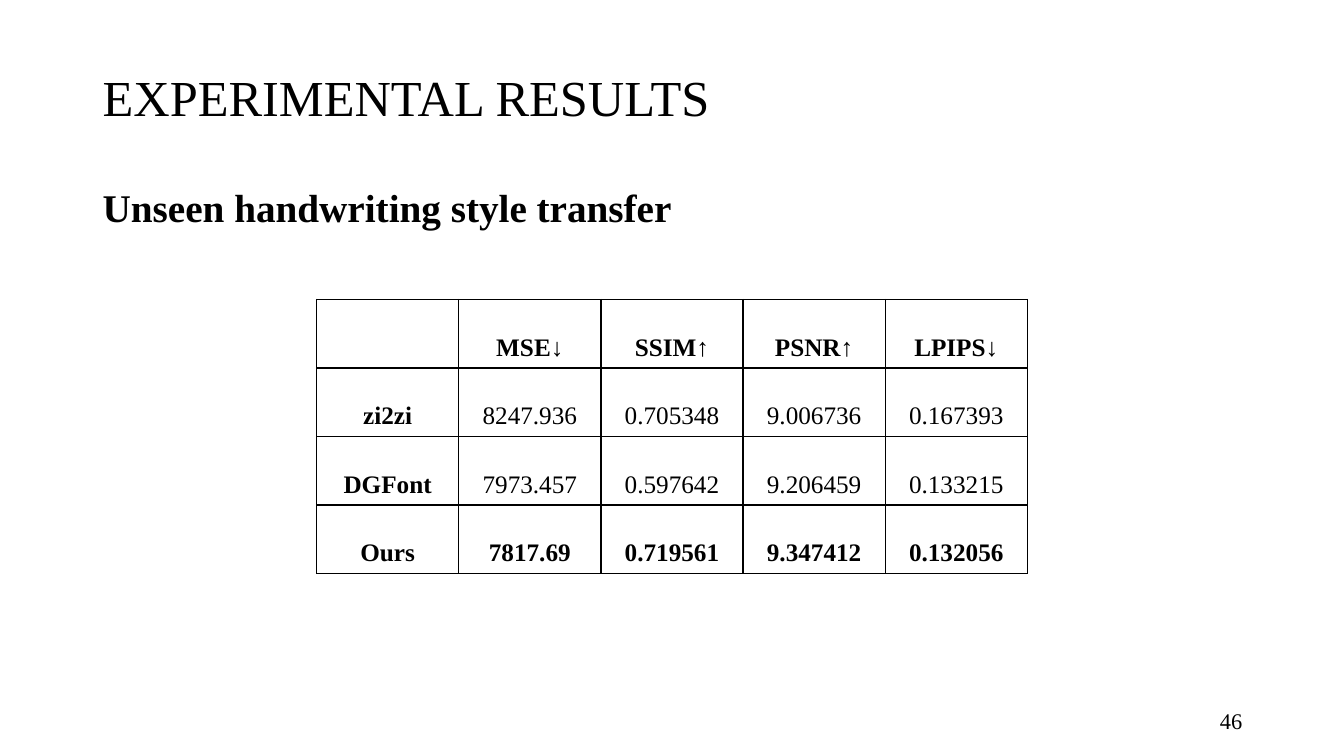
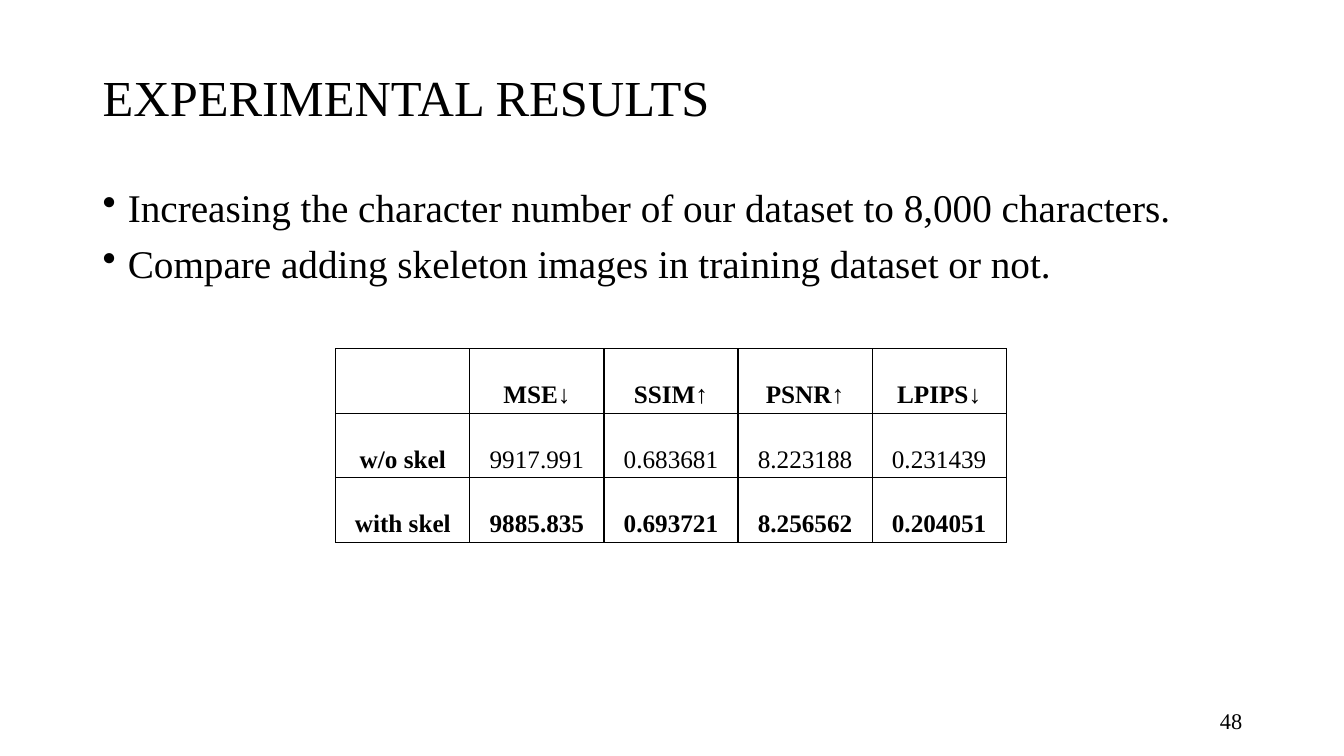
from pptx import Presentation
from pptx.dml.color import RGBColor
from pptx.enum.text import MSO_ANCHOR, PP_ALIGN
from pptx.oxml.ns import qn
from pptx.util import Inches, Pt
from lxml import etree

BLACK = RGBColor(0x00, 0x00, 0x00)
FONT = "Times New Roman"
LEFT, CENTER, RIGHT, JUSTIFY = PP_ALIGN.LEFT, PP_ALIGN.CENTER, PP_ALIGN.RIGHT, PP_ALIGN.JUSTIFY
TOP, MIDDLE = MSO_ANCHOR.TOP, MSO_ANCHOR.MIDDLE

TITLE = "EXPERIMENTAL RESULTS"
METRICS = ["", "MSE↓", "SSIM↑", "PSNR↑", "LPIPS↓"]

SLIDES = [
    {
        "number": "46",
        "body": ["Unseen handwriting style transfer"],
        "bullets": False,
        "table_at": (3.14, 2.97),
        "cell_size": (1.41, 0.68),
        "rows": [
            ["zi2zi", "8247.936", "0.705348", "9.006736", "0.167393"],
            ["DGFont", "7973.457", "0.597642", "9.206459", "0.133215"],
            ["Ours", "7817.69", "0.719561", "9.347412", "0.132056"],
        ],
    },
    {
        "number": "48",
        "body": [
            "Increasing the character number of our dataset to 8,000 characters.",
            "Compare adding skeleton images in training dataset or not.",
        ],
        "bullets": True,
        "table_at": (3.33, 3.46),
        "cell_size": (1.33, 0.64),
        "rows": [
            ["w/o skel", "9917.991", "0.683681", "8.223188", "0.231439"],
            ["with skel", "9885.835", "0.693721", "8.256562", "0.204051"],
        ],
    },
]


def format_paragraph(paragraph, size, alignment, spacing=1.0, bold=False):
    paragraph.alignment = alignment
    paragraph.line_spacing = spacing
    font = paragraph.font
    font.name, font.size, font.bold = FONT, Pt(size), bold
    font.color.rgb = BLACK
    for run in paragraph.runs:
        run.font.name, run.font.size, run.font.bold = FONT, Pt(size), bold
        run.font.color.rgb = BLACK


def add_text(slide, box, lines, anchor):
    text_frame = slide.shapes.add_textbox(*map(Inches, box)).text_frame
    text_frame.word_wrap = True
    text_frame.vertical_anchor = anchor
    text_frame.text = "\n".join(lines)
    return text_frame.paragraphs


presentation = Presentation()
presentation.slide_width = Inches(13.33)
presentation.slide_height = Inches(7.5)
blank_layout = presentation.slide_layouts[6]

for content in SLIDES:
    slide = presentation.slides.add_slide(blank_layout)

    # Title
    title = add_text(slide, (0.92, 0.4, 11.5, 1.19), [TITLE], MIDDLE)[0]
    format_paragraph(title, 36, LEFT, 0.9)

    # Body: a bold heading or a bulleted list
    body = add_text(slide, (0.92, 1.82, 11.5, 5.19), content["body"], TOP)
    for index, paragraph in enumerate(body):
        if content["bullets"]:
            properties = paragraph._p.get_or_add_pPr()
            properties.set("marL", str(Inches(0.25)))
            properties.set("indent", str(-Inches(0.25)))
            etree.SubElement(properties, qn("a:buChar")).set("char", "•")
        format_paragraph(paragraph, 28, JUSTIFY, 0.9, bold=not content["bullets"])
        if index:
            paragraph.space_before = Pt(10)

    # Results table: header, labels and the best (last) row are bold
    rows = [METRICS] + content["rows"]
    left, top = content["table_at"]
    cell_width, cell_height = content["cell_size"]
    table = slide.shapes.add_table(
        len(rows), len(METRICS), Inches(left), Inches(top),
        Inches(cell_width * len(METRICS)), Inches(cell_height * len(rows))).table
    table.first_row = table.horz_banding = False
    for column in table.columns:
        column.width = Inches(cell_width)
    for row_index, values in enumerate(rows):
        table.rows[row_index].height = Inches(cell_height)
        for column_index, value in enumerate(values):
            cell = table.cell(row_index, column_index)
            cell.text_frame.text = value
            cell.vertical_anchor = MIDDLE
            cell.margin_left = cell.margin_right = Inches(0.07)
            cell.margin_top = cell.margin_bottom = 0
            bold = row_index in (0, len(rows) - 1) or column_index == 0
            format_paragraph(cell.text_frame.paragraphs[0], 18, CENTER, 2.0, bold)
            cell.fill.background()

            # Cell borders come before the fill in the XML
            cell_properties = cell._tc.get_or_add_tcPr()
            for position, side in enumerate(("lnL", "lnR", "lnT", "lnB")):
                border = etree.Element(qn("a:" + side), w=str(Pt(1)))
                fill = etree.SubElement(border, qn("a:solidFill"))
                etree.SubElement(fill, qn("a:srgbClr"), val=str(BLACK))
                cell_properties.insert(position, border)

    # Slide number
    number = add_text(slide, (9.42, 6.95, 3, 0.4), [content["number"]], MIDDLE)[0]
    format_paragraph(number, 16, RIGHT)

presentation.save("out.pptx")
